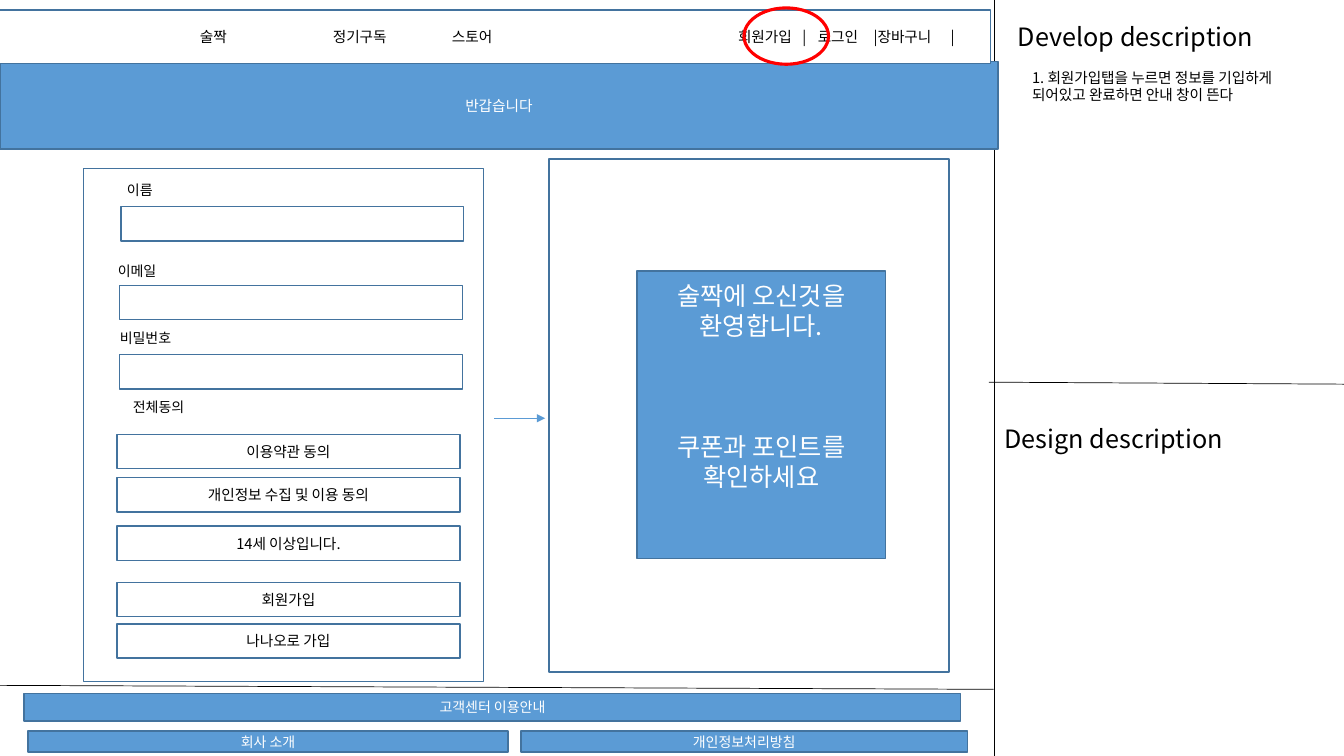
from dataclasses import dataclass

from lxml import etree
from pptx import Presentation
from pptx.dml.color import RGBColor
from pptx.enum.shapes import MSO_CONNECTOR, MSO_SHAPE
from pptx.enum.text import MSO_ANCHOR, MSO_AUTO_SIZE, PP_ALIGN
from pptx.oxml.ns import qn
from pptx.util import Cm, Pt

RECT, OVAL = MSO_SHAPE.RECTANGLE, MSO_SHAPE.OVAL
STRAIGHT = MSO_CONNECTOR.STRAIGHT
TOP, MIDDLE = MSO_ANCHOR.TOP, MSO_ANCHOR.MIDDLE
LEFT, CENTER = PP_ALIGN.LEFT, PP_ALIGN.CENTER
FIT_SHAPE = MSO_AUTO_SIZE.SHAPE_TO_FIT_TEXT
TITLE_ONLY = 5


@dataclass(frozen=True)
class Theme:
    font: str = "Noto Sans CJK KR"
    blue: str = "5B9BD5"
    edge: str = "43739E"
    red: str = "FF0000"
    black: str = "000000"
    white: str = "FFFFFF"
    heading: float = 18
    body: float = 10.5
    small: float = 10
    line_height: float = 1.2
    thin: float = 0.5
    outline: float = 1
    marker: float = 2.25


class Wireframe:
    def __init__(self, slide, theme):
        self.slide, self.theme = slide, theme

    def style(self, paragraph, size, color, align):
        paragraph.alignment = align
        paragraph.line_spacing = Pt(size * self.theme.line_height)
        paragraph.space_before = Pt(0)
        paragraph.font.size = Pt(size)
        paragraph.font.color.rgb = RGBColor.from_string(color)
        paragraph.font.name = self.theme.font
        # East Asian text takes its typeface from its own element
        defaults = paragraph._p.pPr.find(qn("a:defRPr"))
        etree.SubElement(defaults, qn("a:ea"), typeface=self.theme.font)

    def fill_text(self, frame, text, size, color, align):
        frame.text = text
        for paragraph in frame.paragraphs:
            self.style(paragraph, size, color, align)

    def box(self, x, y, w, h, text="", fill=None, color=None, size=None,
            edge=None, weight=None, kind=RECT):
        shape = self.slide.shapes.add_shape(kind, Cm(x), Cm(y), Cm(w), Cm(h))
        shape.shadow.inherit = False
        if fill:
            shape.fill.solid()
            shape.fill.fore_color.rgb = RGBColor.from_string(fill)
        else:
            shape.fill.background()
        shape.line.color.rgb = RGBColor.from_string(edge or self.theme.edge)
        shape.line.width = Pt(weight or self.theme.outline)
        if text:
            frame = shape.text_frame
            frame.word_wrap = True
            frame.vertical_anchor = MIDDLE
            frame.margin_top = frame.margin_bottom = 0
            self.fill_text(frame, text, size or self.theme.body,
                           color or self.theme.black, CENTER)
        return shape

    def blue_box(self, x, y, w, h, text, size):
        return self.box(x, y, w, h, text, self.theme.blue, self.theme.white, size)

    def text(self, x, y, w, h, text, size, wrap=True):
        label = self.slide.shapes.add_textbox(Cm(x), Cm(y), Cm(w), Cm(h))
        label.text_frame.word_wrap = wrap
        label.text_frame.auto_size = FIT_SHAPE
        self.fill_text(label.text_frame, text, size, self.theme.black, LEFT)

    def title(self, x, y, w, h, text):
        title = self.slide.shapes.title
        title.left, title.top, title.width, title.height = Cm(x), Cm(y), Cm(w), Cm(h)
        title.text_frame.vertical_anchor = TOP
        title.text_frame.word_wrap = True
        title.text_frame.auto_size = FIT_SHAPE
        self.fill_text(title.text_frame, text, self.theme.heading, self.theme.black, LEFT)

    def line(self, x1, y1, x2, y2, color=None, arrow=False):
        line = self.slide.shapes.add_connector(STRAIGHT, Cm(x1), Cm(y1), Cm(x2), Cm(y2))
        line.line.color.rgb = RGBColor.from_string(color or self.theme.black)
        line.line.width = Pt(self.theme.thin)
        if arrow:
            outline = line._element.spPr.find(qn("a:ln"))
            etree.SubElement(outline, qn("a:tailEnd"), type="triangle")
        etree.SubElement(line._element.spPr, qn("a:effectLst"))

    def tabs(self, paragraph, stops):
        tab_list = etree.Element(qn("a:tabLst"))
        for stop in stops:
            etree.SubElement(tab_list, qn("a:tab"), pos=str(int(Cm(stop))), algn="l")
        paragraph._p.pPr.find(qn("a:defRPr")).addprevious(tab_list)


theme = Theme()
deck = Presentation()
deck.slide_width, deck.slide_height = Cm(33.87), Cm(19.05)
page = Wireframe(deck.slides.add_slide(deck.slide_layouts[TITLE_ONLY]), theme)

# Description column
page.line(25.07, 0, 25.07, 19.05)
page.line(24.92, 9.63, 33.87, 9.68)
page.title(25.4, 0.41, 7.34, 1.02, "Develop description")
page.text(25.07, 10.54, 7.34, 1.02, "Design description", theme.heading)
page.text(25.76, 1.6, 7.54, 1.14,
          "1. 회원가입탭을 누르면 정보를 기입하게 되어있고 완료하면 안내 창이 뜬다", theme.body)

# Footer
page.line(-0.03, 17.27, 25.04, 17.37)
page.blue_box(0.61, 17.48, 23.6, 0.69, "고객센터 이용안내", theme.small)
page.blue_box(0.71, 18.42, 12.09, 0.53, "회사 소개", theme.small)
page.blue_box(13.13, 18.42, 11.25, 0.53, "개인정보처리방침", theme.small)

# Banner and navigation bar
page.blue_box(0, 1.55, 25.15, 2.21, "반갑습니다", theme.body)
navigation = page.box(
    -0.03, 0.25, 24.99, 1.35,
    "\t술짝\t정기구독\t스토어\t회원가입\t|\t로그인\t|장바구니\t|", theme.white)
menu = navigation.text_frame.paragraphs[0]
menu.alignment = LEFT
page.tabs(menu, (4.82, 8.17, 11.17, 18.38, 20, 20.39, 21.8, 23.74))
page.box(18.75, 0.2, 2.13, 1.42, edge=theme.red, weight=theme.marker, kind=OVAL)

# Sign-up form
FIELD_W, FIELD_H = 8.64, 0.86
for x, y in ((3.05, 5.21), (3.02, 7.19), (3.02, 8.94)):
    page.box(x, y, FIELD_W, FIELD_H, fill=theme.white)
for x, y, w, caption in ((2.95, 4.45, 1.22, "이름"), (2.72, 6.5, 1.57, "이메일"),
                         (2.77, 8.18, 1.93, "비밀번호"), (3.1, 9.91, 1.93, "전체동의")):
    page.text(x, y, w, 0.69, caption, theme.small, wrap=False)
for y, caption in ((10.95, "이용약관 동의"), (12.04, "개인정보 수집 및 이용 동의"),
                   (13.26, "14세 이상입니다."), (14.68, "회원가입"),
                   (15.72, "나나오로 가입")):
    page.box(2.95, y, FIELD_W, FIELD_H, caption, theme.white)

# Form and result panels joined by an arrow
for x, y in ((2.11, 4.24), (13.84, 4.01)):
    page.box(x, y, 10.08, 12.93)
page.line(12.45, 10.54, 13.74, 10.54, theme.blue, arrow=True)

# Welcome pop-up
welcome = page.blue_box(16.05, 6.83, 6.27, 7.24,
                        "술짝에 오신것을 환영합니다.\n쿠폰과 포인트를 확인하세요",
                        theme.heading).text_frame
welcome.vertical_anchor = TOP
welcome.margin_top = Cm(0.23)
welcome.paragraphs[1].space_before = Pt(3 * theme.heading * theme.line_height)

deck.save("out.pptx")
